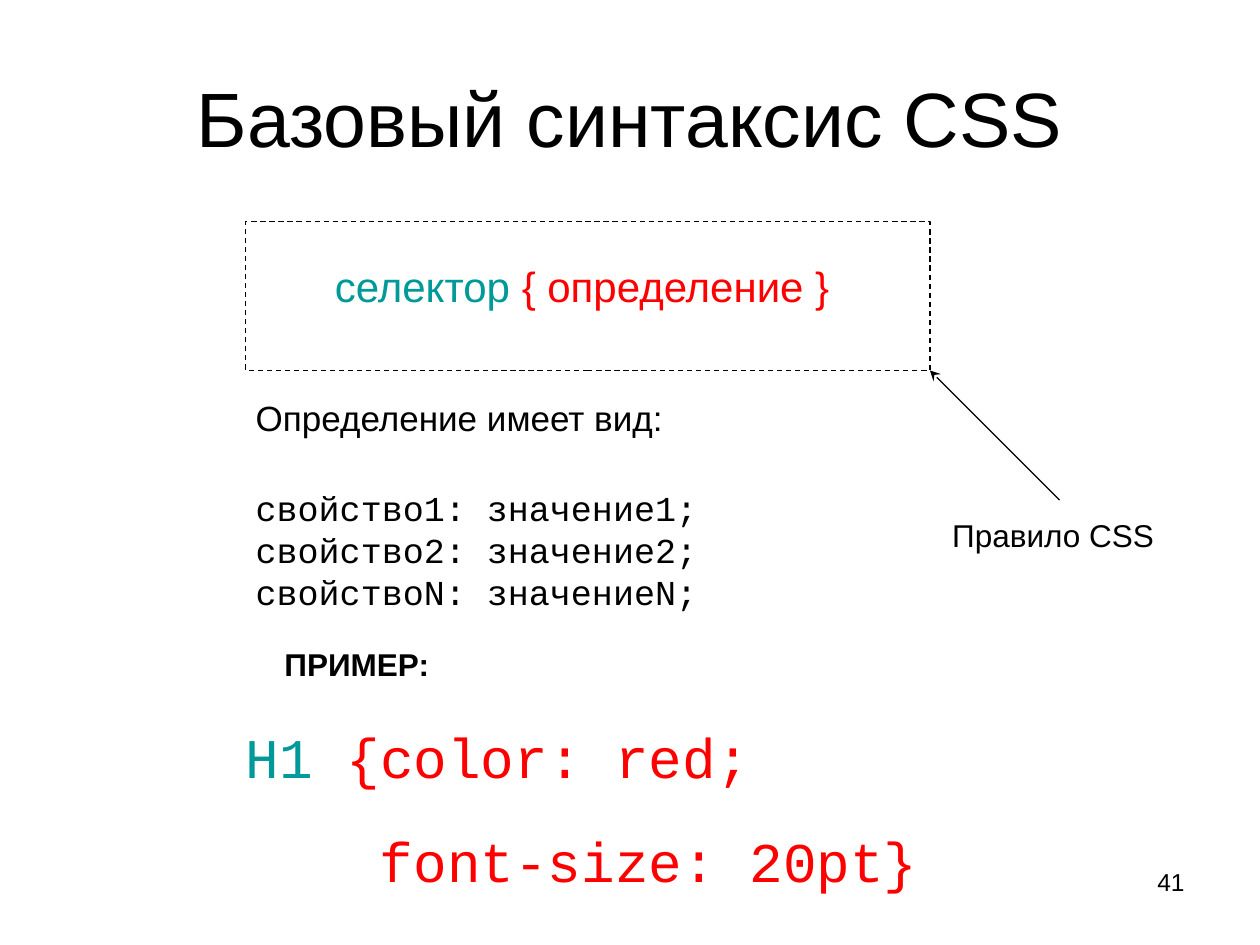
from lxml import etree
from pptx import Presentation
from pptx import util as u
from pptx.dml.color import RGBColor
from pptx.enum import dml, shapes, text
from pptx.oxml.ns import qn

BLACK, TEAL, RED = "000000", "009999", "FF0000"
SANS, MONO = "Arial", "Courier New"


def color(value):
    return RGBColor.from_string(value)


def add_text(page, place, lines, frame_format=None):
    box = page.shapes.add_textbox(*[u.Pt(value) for value in place])
    frame = box.text_frame
    for name, value in ({"word_wrap": True} | (frame_format or {})).items():
        setattr(frame, name, value)
    for index, (para_format, font_format, spans) in enumerate(lines):
        para = frame.add_paragraph() if index else frame.paragraphs[0]
        for name, value in para_format.items():
            setattr(para, name, value)
        for content, fill in spans:
            span = para.add_run()
            span.text = content
            for name, value in font_format.items():
                setattr(span.font, name, value)
            span.font.color.rgb = color(fill)


deck = Presentation()
deck.slide_width, deck.slide_height = u.Pt(720), u.Pt(540)
page = deck.slides.add_slide(deck.slide_layouts[6])

centered = {"alignment": text.PP_ALIGN.CENTER}
right = {"alignment": text.PP_ALIGN.RIGHT}
label = {"name": SANS, "size": u.Pt(18)}
code = {"name": MONO, "size": u.Pt(20)}
sample = {"name": MONO, "size": u.Pt(32)}
code_line = {"line_spacing": u.Pt(24)}
sample_line = {"line_spacing": u.Pt(39.4)}

add_text(page, (516, 492, 168, 37.5),
         [(right, {"name": SANS, "size": u.Pt(14)}, [("41", BLACK)])])
add_text(page, (36, 21.6, 648, 90),
         [(centered, {"name": SANS, "size": u.Pt(44)}, [("Базовый синтаксис CSS", BLACK)])],
         {"vertical_anchor": text.MSO_ANCHOR.MIDDLE})
add_text(page, (184.3, 113, 414, 72.7),
         [({}, {"name": SANS, "size": u.Pt(24)},
           [("селектор ", TEAL), ("{ определение }", RED)])],
         {"margin_top": u.Pt(43), "margin_bottom": 0})
add_text(page, (133.2, 404.6, 430.6, 104.4),
         [(sample_line, sample, [("H1 ", TEAL), ("{color: red;", RED)]),
          (sample_line | {"space_before": u.Pt(20)}, sample, [("font-size: 20pt}", RED)])],
         {"margin_top": u.Pt(7), "margin_bottom": 0})
indented = page.shapes[-1].text_frame.paragraphs[1]
indented._p.get_or_add_pPr().set("marL", str(u.Pt(76.8)))

rule = page.shapes.add_shape(shapes.MSO_SHAPE.RECTANGLE,
                             u.Pt(140.4), u.Pt(126.7), u.Pt(391), u.Pt(85))
rule.shadow.inherit = False
rule.fill.background()
rule.line.dash_style = dml.MSO_LINE.DASH

arrow = page.shapes.add_connector(shapes.MSO_CONNECTOR.STRAIGHT,
                                  u.Pt(605.5), u.Pt(285.8), u.Pt(531.4), u.Pt(211.7))
etree.SubElement(arrow._element.spPr, qn("a:effectLst"))
for outline in (rule.line, arrow.line):
    outline.color.rgb = color(BLACK)
    outline.width = u.Pt(0.75)
etree.SubElement(arrow.line._get_or_add_ln(), qn("a:tailEnd"), type="stealth")

add_text(page, (537, 291.6, 130.3, 28.8), [({}, label, [("Правило CSS", BLACK)])])
add_text(page, (155.5, 365, 153.4, 28.8),
         [({}, label | {"bold": True}, [("ПРИМЕР:", BLACK)])])

definition = [({}, {"name": SANS, "size": u.Pt(20)}, [("Определение имеет вид:", BLACK)])]
for suffix in "12N":
    gap = {"space_before": u.Pt(27 if suffix == "1" else 0)}
    definition.append((code_line | gap, code,
                       [(f"свойство{suffix}: значение{suffix};", BLACK)]))
add_text(page, (139, 223.2, 267, 127.4), definition, {"word_wrap": False})

deck.save("out.pptx")
